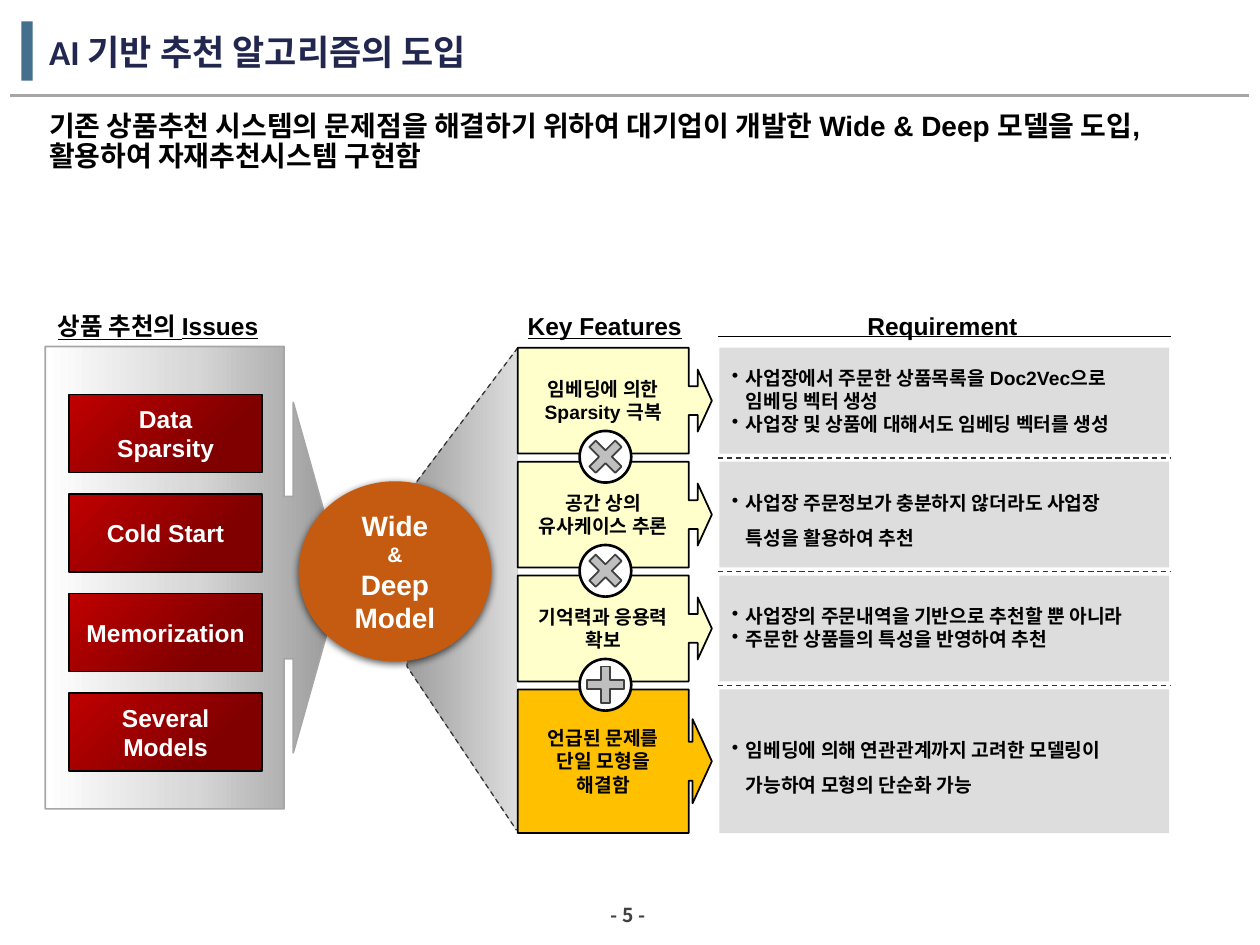
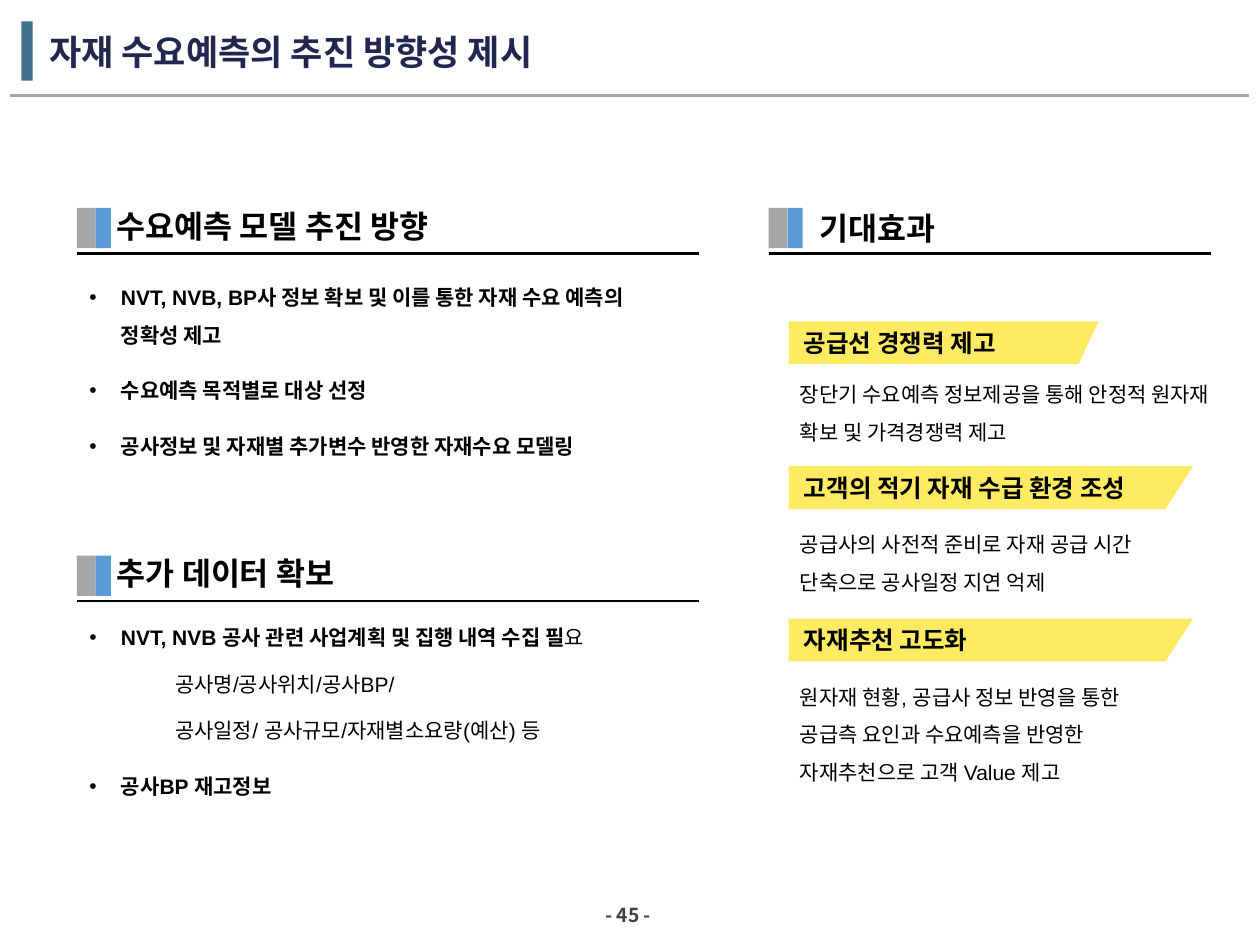
"""Builds two slides on recommendation and demand forecasting."""
import pptx
import pptx.util
import pptx.dml.color
import pptx.enum.dml
import pptx.enum.shapes
import pptx.enum.text
import pptx.oxml
import pptx.oxml.ns
from lxml import etree

Inches, Pt = pptx.util.Inches, pptx.util.Pt
qn = pptx.oxml.ns.qn
RGB = pptx.dml.color.RGBColor.from_string
KIND = pptx.enum.shapes.MSO_SHAPE
WIRE = pptx.enum.shapes.MSO_CONNECTOR.STRAIGHT
ALIGN = pptx.enum.text.PP_ALIGN
MID = pptx.enum.text.MSO_ANCHOR.MIDDLE
FIXED = pptx.enum.text.MSO_AUTO_SIZE.NONE
KOREAN = "Noto Sans CJK KR"
HUE = {
    "black": "000000", "white": "FFFFFF", "navy": "22274F", "steel": "446F8D",
    "rule": "A6A6A6", "dark": "404040", "dash": "333333", "panel": "DDDDDD",
    "cream": "FFFFCC", "gold": "FFC000", "orange": "C55A11", "cross": "BFBFBF",
    "blue": "5B9BD5", "yellow": "FEEB62",
}
FADE = {
    "funnel": ([(0, "9E9E9E"), (100, "DDDDDD")], '<a:lin ang="0"/>'),
    "frame": ([(0, "979797"), (50, "D7D7D7"), (100, "FFFFFF")], '<a:lin ang="10800000"/>'),
    "red": ([(27, "800000"), (100, "C00000")],
            '<a:path path="circle"><a:fillToRect l="100000" t="100000"/></a:path>'),
}


def paint(item, fill=None, line=None, width=1, dash=False):
    if fill in FADE:
        stops, way = FADE[fill]
        item.fill.gradient()
        old = item.element.spPr.find(qn("a:gradFill"))
        marks = "".join(f'<a:gs pos="{pos * 1000}"><a:srgbClr val="{hue}"/></a:gs>'
                        for pos, hue in stops)
        new = pptx.oxml.parse_xml(f'<a:gradFill {pptx.oxml.ns.nsdecls("a")}>'
                                  f'<a:gsLst>{marks}</a:gsLst>{way}</a:gradFill>')
        old.getparent().replace(old, new)
    elif fill:
        item.fill.solid()
        item.fill.fore_color.rgb = RGB(HUE[fill])
    if line:
        item.line.color.rgb = RGB(HUE[line])
        item.line.width = Pt(width)
        if dash:
            item.line.dash_style = pptx.enum.dml.MSO_LINE.DASH
    else:
        item.line.fill.background()
    etree.SubElement(item.element.spPr, qn("a:effectLst"))
    return item


def say(item, text, size=11, color="black", bold=True, face="Arial", align=ALIGN.LEFT,
        lead=1.0, gap=0, mark=0, left=0, para=None):
    frame = item.text_frame
    frame.word_wrap = True
    if para is None:
        para = frame.paragraphs[0]
        first = not para.runs
        if not first:
            para = frame.add_paragraph()
        props = para._p.get_or_add_pPr()
        props.set("marL", str(Inches(mark or left)))
        props.set("indent", str(-Inches(mark)))
        if mark:
            etree.SubElement(props, qn("a:buChar")).set("char", "•")
        else:
            etree.SubElement(props, qn("a:buNone"))
        para.alignment = align
        para.line_spacing = lead
        para.space_before = Pt(0 if first else gap)
    run = para.add_run()
    run.text = text
    run.font.size = Pt(size)
    run.font.bold = bold
    run.font.color.rgb = RGB(HUE[color])
    run.font.name = face
    etree.SubElement(run._r.get_or_add_rPr(), qn("a:ea")).set("typeface", KOREAN)
    return para


deck = pptx.Presentation()
deck.slide_width, deck.slide_height = Inches(10), Inches(7.5)
first = deck.slides.add_slide(deck.slide_layouts[1])
second = deck.slides.add_slide(deck.slide_layouts[3])

bar = first.shapes.add_shape(KIND.RECTANGLE, Inches(0.17), Inches(0.17), Inches(0.09), Inches(0.47))
paint(bar, "steel")
rule = first.shapes.add_connector(WIRE, Inches(9.91), Inches(0.76), Inches(0.08), Inches(0.76))
paint(rule, line="rule", width=1.5)
for part in (bar, rule):
    deck.slide_master.shapes.element.append(part.element)

for slide, name, page in ((first, "AI 기반 추천 알고리즘의 도입", "- 5 -"),
                          (second, "자재 수요예측의 추진 방향성 제시", "- 45 -")):
    head = slide.shapes.title
    head.left, head.top, head.width, head.height = map(Inches, (0.29, 0.08, 9.42, 0.65))
    head.text_frame.auto_size = FIXED
    head.text_frame.vertical_anchor = MID
    head.text_frame.margin_bottom = 0
    say(head, name, 20, "navy", face="Calibri", lead=0.9)
    foot = slide.shapes.add_textbox(Inches(3.91), Inches(7.14), Inches(2.15), Inches(0.24))
    foot.text_frame.vertical_anchor = MID
    say(foot, page, 11, "dark", face=KOREAN, align=ALIGN.CENTER)

lede = first.placeholders[1]
lede.left, lede.top, lede.width, lede.height = map(Inches, (0.29, 0.84, 9.42, 1.42))
lede.text_frame.auto_size = FIXED
say(lede, "기존 상품추천 시스템의 문제점을 해결하기 위하여 대기업이 개발한 "
          "Wide & Deep 모델을 도입, 활용하여 자재추천시스템 구현함", 16, lead=0.9)

shapes = first.shapes
pen = shapes.build_freeform(Inches(4.11), Inches(2.76))
pen.add_line_segments([(Inches(x), Inches(y)) for x, y in ((3.25, 3.9), (3.23, 5.29), (4.1, 6.59))],
                      close=False)
paint(pen.convert_to_shape(), "funnel", "dash", 0.75, True)

frame = shapes.add_shape(KIND.RIGHT_ARROW_CALLOUT, Inches(0.36), Inches(2.75),
                         Inches(2.36), Inches(3.67))
for i, part in enumerate((0.545, 0.589, 0.166, 0.803)):
    frame.adjustments[i] = part
paint(frame, "frame", "rule")

for i, lines in enumerate((["Data", "Sparsity"], ["Cold Start"], ["Memorization"],
                           ["Several", "Models"])):
    issue = shapes.add_shape(KIND.RECTANGLE, Inches(0.55), Inches(3.13 + 0.79 * i),
                             Inches(1.53), Inches(0.62))
    paint(issue, "red", "black")
    for text in lines:
        say(issue, text, 14, "white", align=ALIGN.CENTER)

model = shapes.add_shape(KIND.OVAL, Inches(2.37), Inches(3.82), Inches(1.53), Inches(1.43))
paint(model, "orange")
model.element.spPr.find(qn("a:effectLst")).append(pptx.oxml.parse_xml(
    f'<a:outerShdw {pptx.oxml.ns.nsdecls("a")} blurRad="{Pt(4.5)}" dist="{Pt(1.5)}" dir="5400000">'
    '<a:srgbClr val="000000"><a:alpha val="63000"/></a:srgbClr></a:outerShdw>'))
for text, size in (("Wide", 16), ("&", 12), ("Deep", 16), ("Model", 16)):
    say(model, text, size, "white", align=ALIGN.CENTER)

for text, x, wide, under in (("상품 추천의 Issues", 0.4, 1.73, True),
                             ("Key Features", 4.13, 1.36, True),
                             ("Requirement", 5.79, 3.4, False)):
    label = shapes.add_textbox(Inches(x), Inches(2.42), Inches(wide), Inches(0.31))
    label.text_frame.margin_left = 0
    label.text_frame.margin_right = Inches(0.02)
    para = say(label, text, 14, align=ALIGN.CENTER)
    para.runs[0].font.underline = under
paint(shapes.add_connector(WIRE, Inches(5.7), Inches(2.67), Inches(9.29), Inches(2.67)),
      line="black")

rows = (
    ("임베딩에 의한 Sparsity 극복", "cream", 0.84, 1,
     ["사업장에서 주문한 상품목록을 Doc2Vec으로 임베딩 벡터 생성",
      "사업장 및 상품에 대해서도 임베딩 벡터를 생성"]),
    ("공간 상의 유사케이스 추론", "cream", 0.84, 1.5,
     ["사업장 주문정보가 충분하지 않더라도 사업장 특성을 활용하여 추천"]),
    ("기억력과 응용력 확보", "cream", 0.84, 0.9,
     ["사업장의 주문내역을 기반으로 추천할 뿐 아니라", "주문한 상품들의 특성을 반영하여 추천"]),
    ("언급된 문제를 단일 모형을 해결함", "gold", 1.14, 1.5,
     ["임베딩에 의해 연관관계까지 고려한 모델링이 가능하여 모형의 단순화 가능"]),
)
for i, (text, fill, tall, lead, needs) in enumerate(rows):
    top = 2.76 + 0.904 * i
    key = shapes.add_shape(KIND.RIGHT_ARROW_CALLOUT, Inches(4.11), Inches(top),
                           Inches(1.54), Inches(tall))
    for j, part in enumerate((0.271, 0.293, 0.134, 0.881)):
        key.adjustments[j] = part
    paint(key, fill, "black")
    say(key, text, align=ALIGN.CENTER)
    panel = shapes.add_shape(KIND.RECTANGLE, Inches(5.71), Inches(top), Inches(3.57), Inches(tall))
    paint(panel, "panel")
    for need in needs:
        say(panel, need, lead=lead, gap=1 if lead < 1 else 0, mark=0.11)
    if i:
        cut = Inches(top - 0.03)
        paint(shapes.add_connector(WIRE, Inches(5.7), cut, Inches(9.29), cut),
              line="dash", width=0.75, dash=True)

for i, turn in enumerate((45, 45, 90)):
    top = 3.42 + 0.905 * i
    disc = shapes.add_shape(KIND.OVAL, Inches(4.6), Inches(top), Inches(0.41), Inches(0.41))
    paint(disc, "white", "black", 1.5)
    sign = shapes.add_shape(KIND.CROSS, Inches(4.66), Inches(top + 0.06), Inches(0.29), Inches(0.29))
    sign.adjustments[0] = 0.377
    sign.rotation = turn
    paint(sign, "cross", "dark")

for text, x, y, shift, lift, wide in (("수요예측 모델 추진 방향", 0.61, 1.65, 0.22, 0.06, 4.94),
                                      ("추가 데이터 확보", 0.61, 4.41, 0.22, 0.06, 4.94),
                                      ("기대효과", 6.1, 1.65, 0.31, 0.04, 3.51)):
    group = second.shapes.add_group_shape().shapes
    for left, size, fill in ((x, 0.15, "rule"), (x + 0.15, 0.12, "blue")):
        chip = group.add_shape(KIND.RECTANGLE, Inches(left), Inches(y), Inches(size), Inches(0.32))
        paint(chip, fill)
    low = Inches(y + 0.36)
    paint(group.add_connector(WIRE, Inches(x), low, Inches(x + wide), low), line="black", width=1.5)
    label = group.add_textbox(Inches(x + shift), Inches(y - lift), Inches(3), Inches(0.4))
    say(label, text, 18)

plan, data = second.placeholders[1], second.placeholders[2]
for item, box in ((plan, (0.61, 2.11, 4.82, 1.89)), (data, (0.61, 4.81, 5.26, 1.72))):
    item.left, item.top, item.width, item.height = map(Inches, box)
    item.text_frame.auto_size = FIXED
for text in ("NVT, NVB, BP사 정보 확보 및 이를 통한 자재 수요 예측의 정확성 제고",
             "수요예측 목적별로 대상 선정", "공사정보 및 자재별 추가변수 반영한 자재수요 모델링"):
    say(plan, text, 12, lead=1.5, gap=10, mark=0.25)
para = say(data, "NVT, NVB 공사 관련 사업계획 및 집행 내역 수집 필", 12, lead=1.5, mark=0.25)
say(data, "요", 12, bold=False, para=para)
for text in ("공사명/공사위치/공사BP/", "공사일정/ 공사규모/자재별소요량(예산) 등"):
    say(data, text, 12, bold=False, lead=1.5, gap=5, left=0.68).level = 1
say(data, "공사BP 재고정보", 12, lead=1.5, gap=10, mark=0.25)

gains = (
    ("공급선 경쟁력 제고", KOREAN, 2.55, 2.46, 0.16, 2.88, 3.45,
     "장단기 수요예측 정보제공을 통해 안정적 원자재 확보 및 가격경쟁력 제고"),
    ("고객의 적기 자재 수급 환경 조성", "Arial", 3.7, 3.21, 0.22, 4.07, 3.21,
     "공급사의 사전적 준비로 자재 공급 시간 단축으로 공사일정 지연 억제"),
    ("자재추천 고도화", "Arial", 4.91, 3.21, 0.22, 5.28, 3.21,
     "원자재 현황, 공급사 정보 반영을 통한 공급측 요인과 수요예측을 반영한 "
     "자재추천으로 고객 Value 제고"),
)
for name, face, top, wide, slant, low, span, text in gains:
    pen = second.shapes.build_freeform(Inches(6.26), Inches(top))
    pen.add_line_segments([(Inches(6.26 + x), Inches(top + y)) for x, y in
                           ((wide, 0), (wide - slant, 0.34), (0, 0.34))])
    flag = paint(pen.convert_to_shape(), "yellow")
    edge = flag.text_frame
    edge.margin_left, edge.margin_top = Inches(0.12), 0
    edge.margin_right, edge.margin_bottom = Inches(0.08), Inches(0.12)
    say(flag, name, 14, face=face, lead=1.5)
    note = second.shapes.add_textbox(Inches(6.25), Inches(low), Inches(span), Inches(0.71))
    say(note, text, 12, bold=False, lead=1.5)

deck.save("out.pptx")
